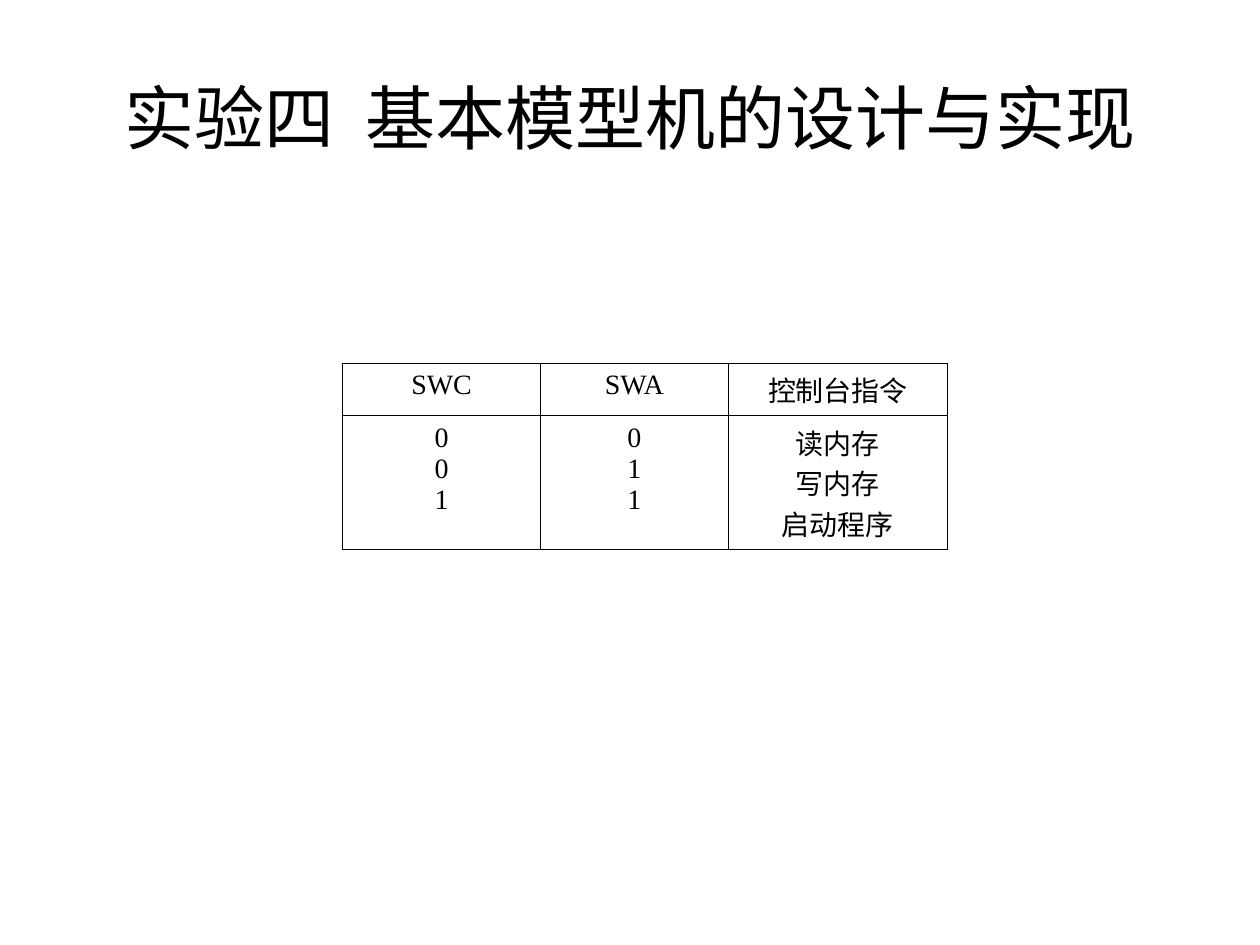
from pptx import Presentation
from pptx.dml.color import RGBColor
from pptx.enum.text import MSO_ANCHOR as Anchor, PP_ALIGN as Align
from pptx.oxml.ns import qn
from pptx.util import Inches, Pt
from lxml.etree import SubElement as Sub

BLACK = RGBColor(0, 0, 0)
WHITE = RGBColor(255, 255, 255)


class Deck:
    sans = "Arial"
    serif = "Times New Roman"
    rule = Pt(0.45)
    hang = Inches(0.38)

    def __init__(self, wide, high):
        self.deck = Presentation()
        self.deck.slide_width = Inches(wide)
        self.deck.slide_height = Inches(high)
        self.slide = self.deck.slides.add_slide(self.deck.slide_layouts[6])
        fill = self.slide.background.fill
        fill.solid()
        fill.fore_color.rgb = WHITE

    def text(self, para, words, size, font):
        para.alignment = Align.CENTER
        run = para.add_run()
        run.text = words
        run.font.size = Pt(size)
        run.font.name = font
        run.font.color.rgb = BLACK

    def title(self, words, x, y, w, h):
        box = self.slide.shapes.add_textbox(*map(Inches, (x, y, w, h)))
        frame = box.text_frame
        frame.word_wrap = True
        frame.vertical_anchor = Anchor.MIDDLE
        self.text(frame.paragraphs[0], words, 40, self.sans)

    def border(self, cell):
        props = cell._tc.get_or_add_tcPr()
        for side in ("a:lnL", "a:lnR", "a:lnT", "a:lnB"):
            line = Sub(props, qn(side), w=str(self.rule))
            fill = Sub(line, qn("a:solidFill"))
            Sub(fill, qn("a:srgbClr"), val=str(BLACK))

    def cell(self, cell, lines):
        self.border(cell)
        cell.fill.background()
        frame = cell.text_frame
        for i, words in enumerate(lines):
            para = frame.add_paragraph() if i else frame.paragraphs[0]
            props = para._p.get_or_add_pPr()
            props.set("marL", str(self.hang))
            props.set("indent", str(-self.hang))
            self.text(para, words, 16, self.serif)

    def table(self, rows, x, y, widths, heights):
        size = (x, y, sum(widths), sum(heights))
        shape = self.slide.shapes.add_table(
            len(rows), len(widths), *map(Inches, size))
        grid = shape.table
        grid.first_row = False
        grid.horz_banding = False
        for col, wide in zip(grid.columns, widths):
            col.width = Inches(wide)
        for row, high, cells in zip(grid.rows, heights, rows):
            row.height = Inches(high)
            for cell, lines in zip(row.cells, cells):
                self.cell(cell, lines)

    def save(self):
        self.deck.save("out.pptx")


def main():
    deck = Deck(10, 7.5)
    deck.title("实验四  基本模型机的设计与实现", 0.5, 0.3, 9, 1.25)
    modes = [
        [["SWC"], ["SWA"], ["控制台指令"]],
        [["0", "0", "1"], ["0", "1", "1"], ["读内存", "写内存", "启动程序"]],
    ]
    deck.table(modes, 2.72, 2.88, [1.57, 1.49, 1.74], [0.42, 1.06])
    deck.save()


if __name__ == "__main__":
    main()
